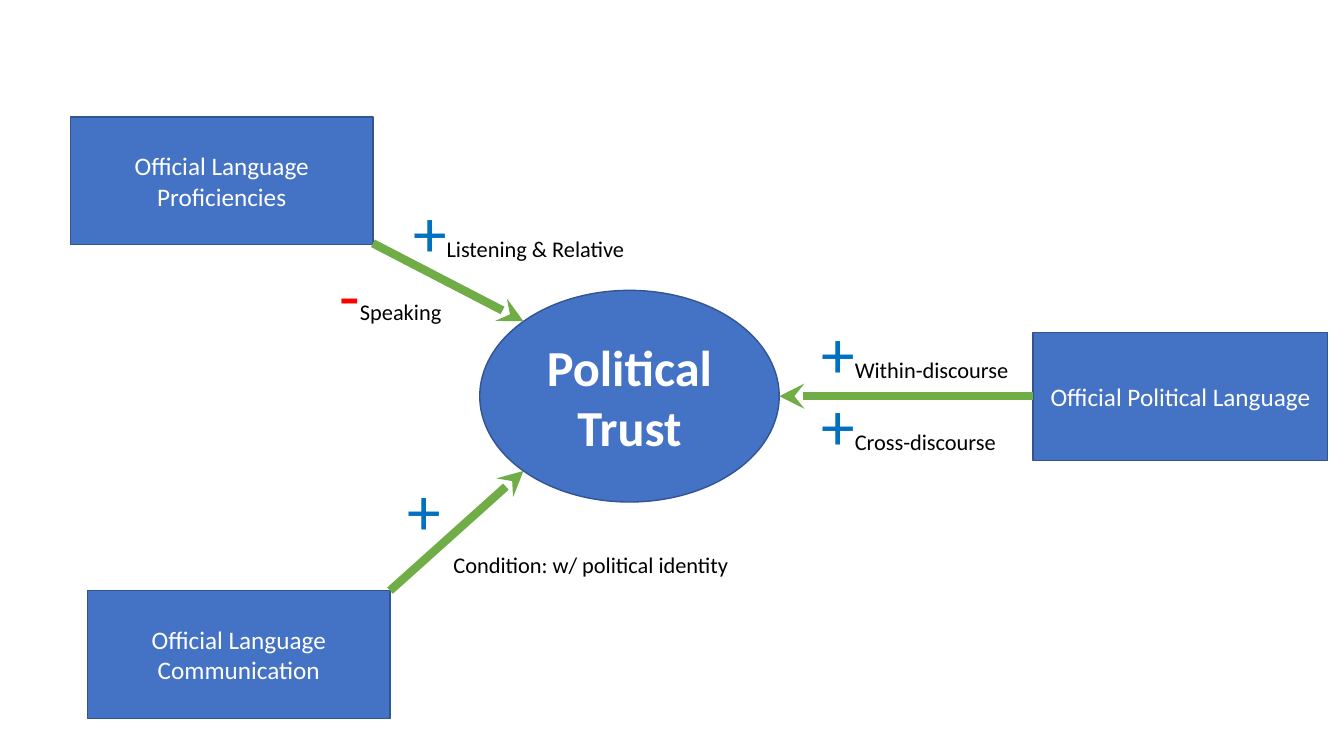
from dataclasses import dataclass

from lxml import etree
from pptx import Presentation
from pptx.dml.color import RGBColor
from pptx.enum import shapes, text
from pptx.oxml import ns
from pptx.util import Pt


@dataclass(frozen=True)
class Theme:
    font: str = "Calibri"
    node: str = "4472C4"
    outline: str = "325491"
    arrow: str = "70AD47"
    light: str = "FFFFFF"
    dark: str = "000000"
    plus: str = "0070C0"
    minus: str = "FF0000"
    outcome_size: int = 36
    factor_size: int = 18
    sign_size: int = 48
    label_size: int = 16


THEME = Theme()
FACTOR_HEIGHT = 91.4
SIGN_HEIGHT = 65.4


def add_run(p, words, size, color, bold=False):
    r = p.add_run()
    r.text = words
    r.font.name = THEME.font
    r.font.size = Pt(size)
    r.font.bold = bold
    r.font.color.rgb = RGBColor.from_string(color)


def add_node(s, kind, box, words, size, bold=False):
    sp = s.shapes.add_shape(kind, *map(Pt, box))
    sp.shadow.inherit = False
    sp.fill.solid()
    sp.fill.fore_color.rgb = RGBColor.from_string(THEME.node)
    sp.line.color.rgb = RGBColor.from_string(THEME.outline)
    sp.line.width = Pt(1)
    tf = sp.text_frame
    tf.word_wrap = True
    tf.vertical_anchor = text.MSO_ANCHOR.MIDDLE
    p = tf.paragraphs[0]
    p.alignment = text.PP_ALIGN.CENTER
    add_run(p, words, size, THEME.light, bold)


def add_factor(s, left, top, width, words):
    box = (left, top, width, FACTOR_HEIGHT)
    add_node(s, shapes.MSO_SHAPE.RECTANGLE, box, words, THEME.factor_size)


def add_arrow(s, start, end):
    line = s.shapes.add_connector(
        shapes.MSO_CONNECTOR.STRAIGHT, *map(Pt, start + end))
    line.line.color.rgb = RGBColor.from_string(THEME.arrow)
    line.line.width = Pt(6)
    etree.SubElement(line.line._get_or_add_ln(), ns.qn("a:tailEnd"), type="stealth")
    etree.SubElement(line._element.spPr, ns.qn("a:effectLst"))


def add_effect(s, left, top, width, sign="", label="", height=SIGN_HEIGHT, wrap=True):
    """Write the sign of an effect, its label, or both on one line."""
    tf = s.shapes.add_textbox(*map(Pt, (left, top, width, height))).text_frame
    tf.word_wrap = wrap
    tf.auto_size = text.MSO_AUTO_SIZE.SHAPE_TO_FIT_TEXT
    p = tf.paragraphs[0]
    if sign:
        color = THEME.plus if sign == "+" else THEME.minus
        add_run(p, sign, THEME.sign_size, color)
    if label:
        add_run(p, label, THEME.label_size, THEME.dark)


def main():
    prs = Presentation()
    prs.slide_width, prs.slide_height = Pt(960), Pt(540)
    s = prs.slides.add_slide(prs.slide_layouts[6])

    add_node(s, shapes.MSO_SHAPE.OVAL, (342.7, 207.4, 213.9, 151.2),
             "Political Trust", THEME.outcome_size, bold=True)
    add_factor(s, 50.4, 83.5, 216, "Official Language Proficiencies")
    add_factor(s, 62.6, 421.9, 216, "Official Language Communication")
    add_factor(s, 738, 237.4, 210.3, "Official Political Language")

    add_arrow(s, (266.4, 173.8), (373.9, 229.5))
    add_arrow(s, (278.6, 421.9), (373.9, 336.4))
    add_arrow(s, (738, 283), (556.6, 283))

    add_effect(s, 288, 132.5, 201.6, "+", "Listening & Relative")
    add_effect(s, 235.4, 177.4, 105.1, "-", "Speaking")
    add_effect(s, 316.8, 390.3, 221.8, label="Condition: w/ political identity",
               height=26.6, wrap=False)
    add_effect(s, 283.7, 331.2, 26.6, "+")
    for top, label in ((218.6, "Within-discourse"), (270.3, "Cross-discourse")):
        add_effect(s, 579.6, top, 201.6, "+", label)

    prs.save("out.pptx")


if __name__ == "__main__":
    main()
